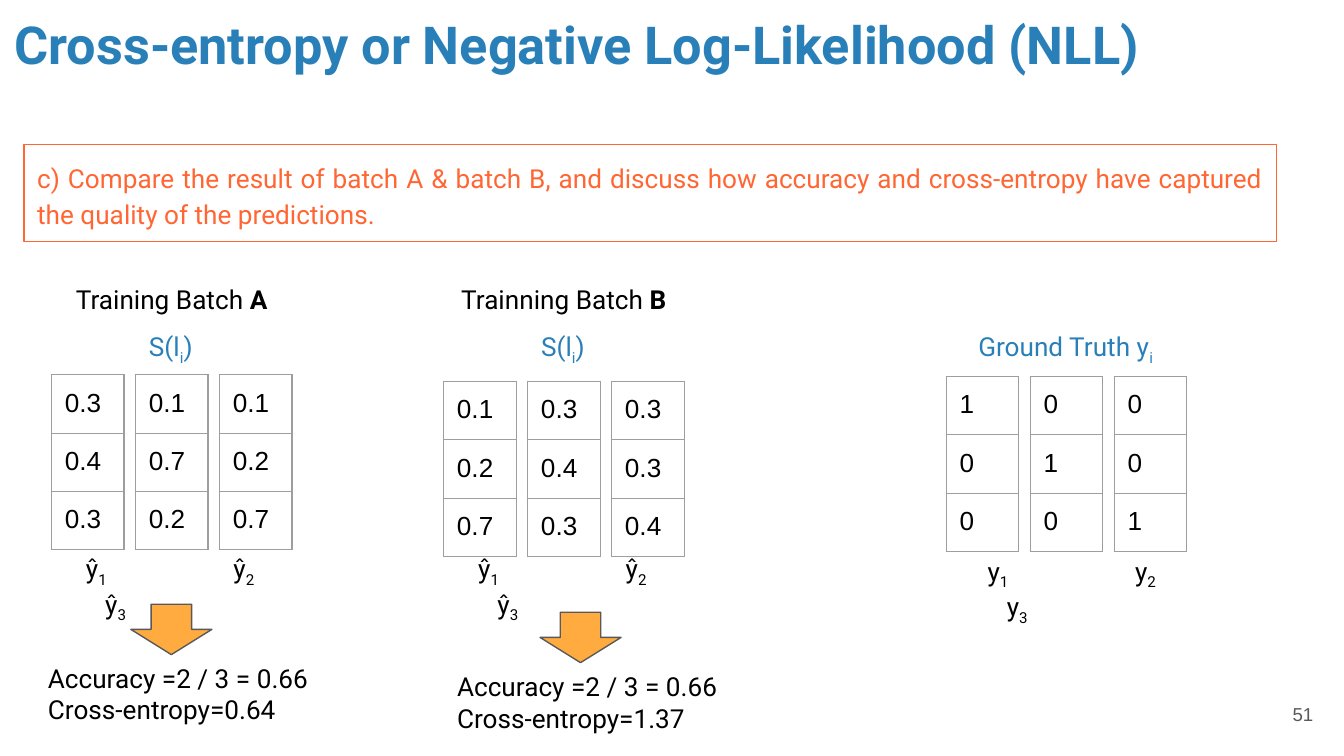
from dataclasses import dataclass

from lxml import etree
from pptx import Presentation
from pptx.dml.color import RGBColor
from pptx.enum.shapes import MSO_SHAPE
from pptx.enum.text import MSO_ANCHOR, PP_ALIGN
from pptx.oxml.ns import qn
from pptx.util import Pt

TOP, MIDDLE = MSO_ANCHOR.TOP, MSO_ANCHOR.MIDDLE
LEFT, CENTER, RIGHT, JUSTIFY = PP_ALIGN.LEFT, PP_ALIGN.CENTER, PP_ALIGN.RIGHT, PP_ALIGN.JUSTIFY
RECTANGLE, DOWN_ARROW = MSO_SHAPE.RECTANGLE, MSO_SHAPE.DOWN_ARROW

BLUE, ORANGE, AMBER = "2980B9", "FF6633", "FFAB40"
BLACK, GREY, BORDER = "000000", "595959", "9E9E9E"
INSET, HAIRLINE = 7.2, 0.75
COLUMN_WIDTH, COLUMN_PITCH, ROW_HEIGHT = 38.9, 45, 30.24


@dataclass(frozen=True)
class Span:
    """A stretch of text with its own weight or baseline."""

    text: str
    bold: bool = False
    subscript: bool = False


@dataclass(frozen=True)
class Style:
    """Text format shared by a whole box."""

    size: float = 14
    name: str = "Roboto"
    color: str = BLACK
    align: PP_ALIGN = LEFT
    anchor: MSO_ANCHOR = TOP
    spacing: float = 1.0


@dataclass(frozen=True)
class Panel:
    """Three column vectors with their caption and labels."""

    left: float
    top: float
    caption: list[Span]
    columns: list[list[str]]
    symbol: str
    label_left: float
    label_top: float


@dataclass(frozen=True)
class Batch:
    """Heading and scores of a training batch."""

    panel: Panel
    heading: str
    letter: str
    result_left: float
    result_top: float
    entropy: str


def rgb(value: str) -> RGBColor:
    """Turn a hex string into a colour."""
    return RGBColor.from_string(value)


def apply(target, values: dict) -> None:
    """Set every attribute named in the values."""
    for name, value in values.items():
        setattr(target, name, value)


def write(frame, lines: list[list[Span]], style: Style) -> None:
    """Fill a text frame, one paragraph per line of spans."""
    insets = {f"margin_{side}": Pt(INSET) for side in ("left", "top", "right", "bottom")}
    apply(frame, {"word_wrap": True, "vertical_anchor": style.anchor, **insets})
    for index, line in enumerate(lines):
        para = frame.paragraphs[0] if index == 0 else frame.add_paragraph()
        apply(para, {"alignment": style.align, "line_spacing": style.spacing})
        for part in line:
            span = para.add_run()
            span.text = part.text
            apply(span.font, {"size": Pt(style.size), "name": style.name, "bold": part.bold})
            span.font.color.rgb = rgb(style.color)
            if part.subscript:
                span.font._element.set("baseline", "-25000")


def add_text(page, left: float, top: float, width: float, height: float,
             lines: list[list[Span]], style: Style):
    """Add a text box and return it."""
    box = page.shapes.add_textbox(Pt(left), Pt(top), Pt(width), Pt(height))
    write(box.text_frame, lines, style)
    return box


def add_outline(page, kind: MSO_SHAPE, left: float, top: float, width: float, height: float,
                line: str, fill: str = ""):
    """Add a thinly outlined preset shape, filled if a fill is given."""
    shape = page.shapes.add_shape(kind, Pt(left), Pt(top), Pt(width), Pt(height))
    shape.shadow.inherit = False
    if fill:
        shape.fill.solid()
        shape.fill.fore_color.rgb = rgb(fill)
    else:
        shape.fill.background()
    shape.line.color.rgb = rgb(line)
    shape.line.width = Pt(HAIRLINE)
    return shape


def add_borders(cell) -> None:
    """Draw a thin line on the four sides of a cell."""
    properties = cell._tc.get_or_add_tcPr()
    for index, side in enumerate(("lnL", "lnR", "lnT", "lnB")):
        line = etree.Element(qn(f"a:{side}"), w=str(Pt(HAIRLINE)))
        fill = etree.SubElement(line, qn("a:solidFill"))
        etree.SubElement(fill, qn("a:srgbClr"), val=BORDER)
        properties.insert(index, line)


def add_vector(page, left: float, top: float, values: list[str]) -> None:
    """Add a one-column table of values."""
    height = ROW_HEIGHT * len(values)
    frame = page.shapes.add_table(len(values), 1, Pt(left), Pt(top), Pt(COLUMN_WIDTH), Pt(height))
    table = frame.table
    apply(table, {"first_row": False, "horz_banding": False})
    for row, value in enumerate(values):
        table.rows[row].height = Pt(ROW_HEIGHT)
        cell = table.cell(row, 0)
        write(cell.text_frame, [[Span(value)]], Style(name="Arial"))
        margins = {f"margin_{side}": Pt(INSET) for side in ("left", "top", "right", "bottom")}
        apply(cell, margins)
        cell.fill.background()
        add_borders(cell)


def add_panel(page, panel: Panel) -> None:
    """Add the caption, the vectors and the vector labels."""
    add_text(page, panel.left, 170, 128, 17, [panel.caption], Style(color=BLUE, align=CENTER))
    for index, values in enumerate(panel.columns):
        add_vector(page, panel.left + index * COLUMN_PITCH, panel.top, values)
    first, second, third = ([Span(panel.symbol), Span(digit, subscript=True)] for digit in "123")
    lines = [[*first, Span("\t"), *second], third]
    box = add_text(page, panel.label_left, panel.label_top, 128, 32, lines, Style())
    upper, lower = (para._p.get_or_add_pPr() for para in box.text_frame.paragraphs)
    stops = etree.SubElement(upper, qn("a:tabLst"))
    etree.SubElement(stops, qn("a:tab"), pos=str(Pt(79)), algn="l")
    lower.set("marL", str(Pt(10.3)))


def add_batch(page, batch: Batch) -> None:
    """Add a panel with its heading, arrow and scores."""
    add_panel(page, batch.panel)
    heading = [Span(batch.heading), Span(batch.letter, bold=True)]
    add_text(page, batch.panel.left - 2, 144.7, 133, 29, [heading], Style(align=CENTER))
    left, top = batch.result_left, batch.result_top
    add_outline(page, DOWN_ARROW, left + 51.5, top - 24, 43.4, 27, GREY, AMBER)
    scores = [[Span("Accuracy =2 / 3 = 0.66")], [Span(f"Cross-entropy={batch.entropy}")]]
    add_text(page, left, top, 155.5, 27, scores, Style())


def main() -> None:
    """Build and save the slide."""
    deck = Presentation()
    apply(deck, {"slide_width": Pt(720), "slide_height": Pt(405)})
    page = deck.slides.add_slide(deck.slide_layouts[6])

    title = [[Span("Cross-entropy or Negative Log-Likelihood (NLL)", bold=True)]]
    add_text(page, 0.7, -0.7, 671, 45, title, Style(size=28, color=BLUE))
    question = add_outline(page, RECTANGLE, 12.8, 77.3, 671, 52, ORANGE)
    task = ("c) Compare the result of batch A & batch B, and discuss how accuracy and "
            "cross-entropy have captured the quality of the predictions.")
    write(question.text_frame, [[Span(task)]], Style(color=ORANGE, align=JUSTIFY, spacing=1.15))

    score = [Span("S(l"), Span("i", subscript=True), Span(")")]
    truth = [Span("Ground Truth y"), Span("i", subscript=True)]
    columns_a = [["0.3", "0.4", "0.3"], ["0.1", "0.7", "0.2"], ["0.1", "0.2", "0.7"]]
    columns_b = [["0.1", "0.2", "0.7"], ["0.3", "0.4", "0.3"], ["0.3", "0.3", "0.4"]]
    identity = [["1", "0", "0"], ["0", "1", "0"], ["0", "0", "1"]]
    panel_a = Panel(27.5, 200.8, score, columns_a, "ŷ", 39, 288.7)
    panel_b = Panel(237.6, 204.4, score, columns_b, "ŷ", 249.1, 288.7)
    add_batch(page, Batch(panel_a, "Training Batch ", "A", 18.6, 347.7, "0.64"))
    add_batch(page, Batch(panel_b, "Trainning Batch ", "B", 237.8, 352, "1.37"))
    add_panel(page, Panel(506.9, 201.7, truth, identity, "y", 522, 290.2))

    number = Style(size=10, name="Arial", color=GREY, align=RIGHT, anchor=MIDDLE)
    add_text(page, 667.4, 367.2, 43.2, 31, [[Span("51")]], number)
    deck.save("out.pptx")


if __name__ == "__main__":
    main()
